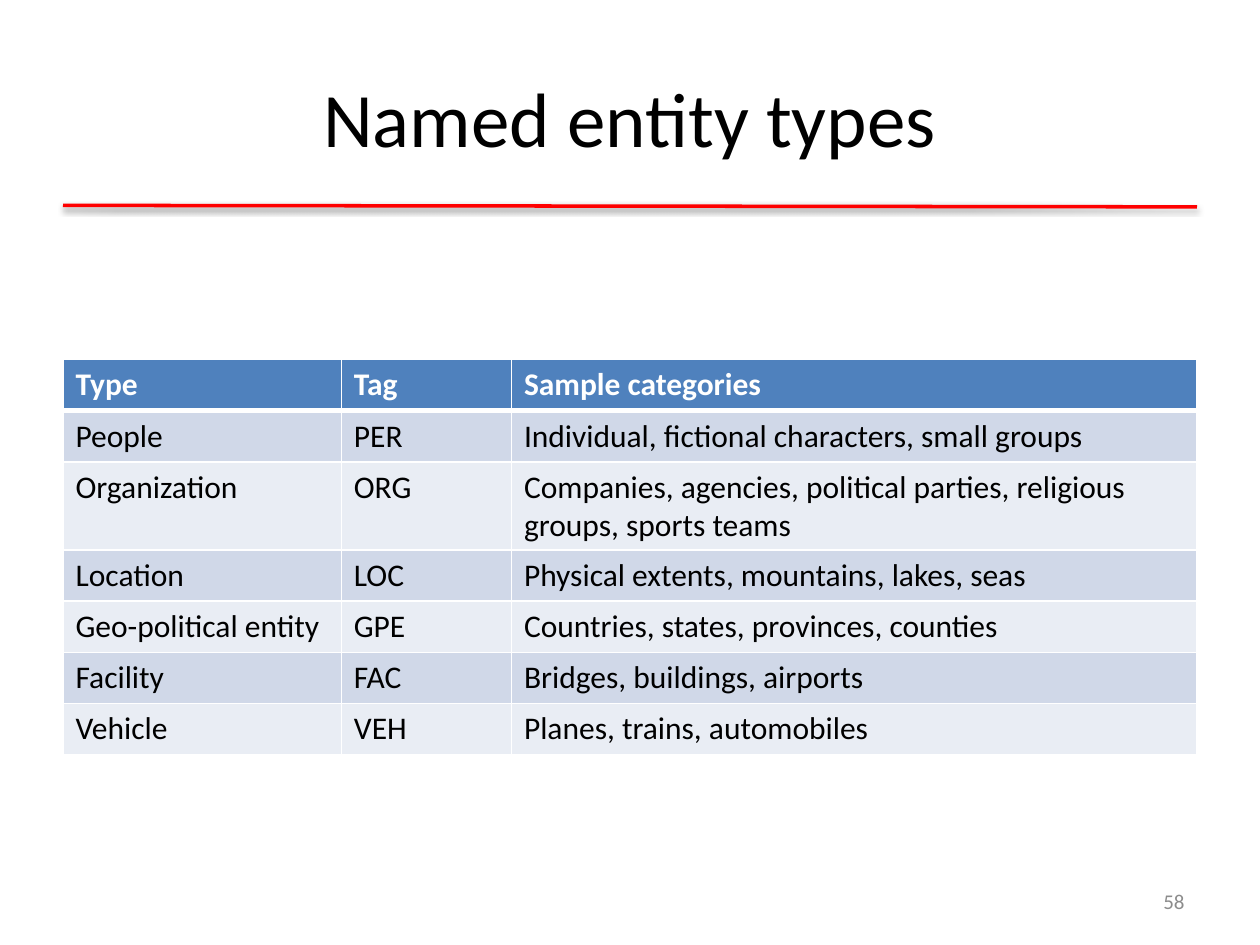
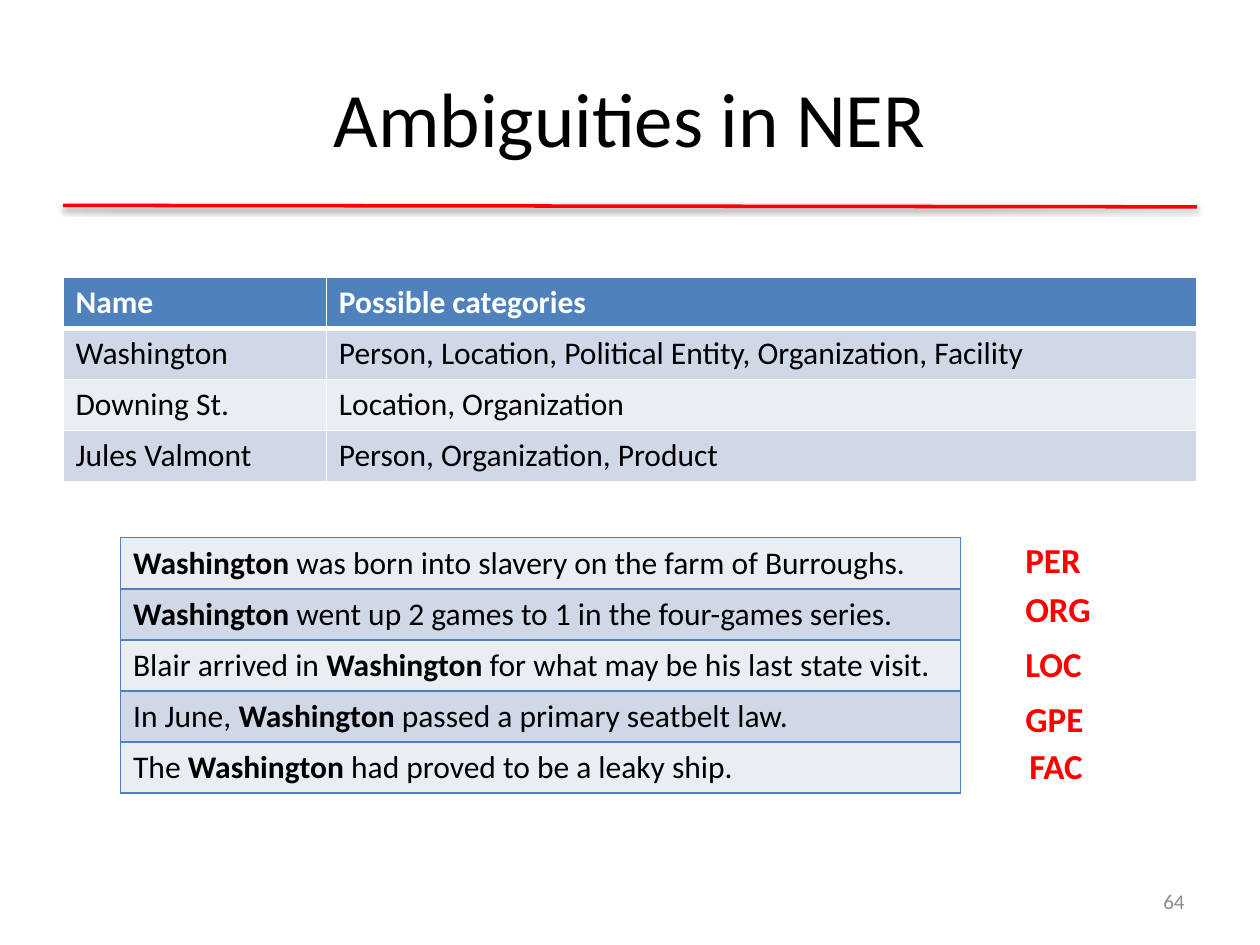
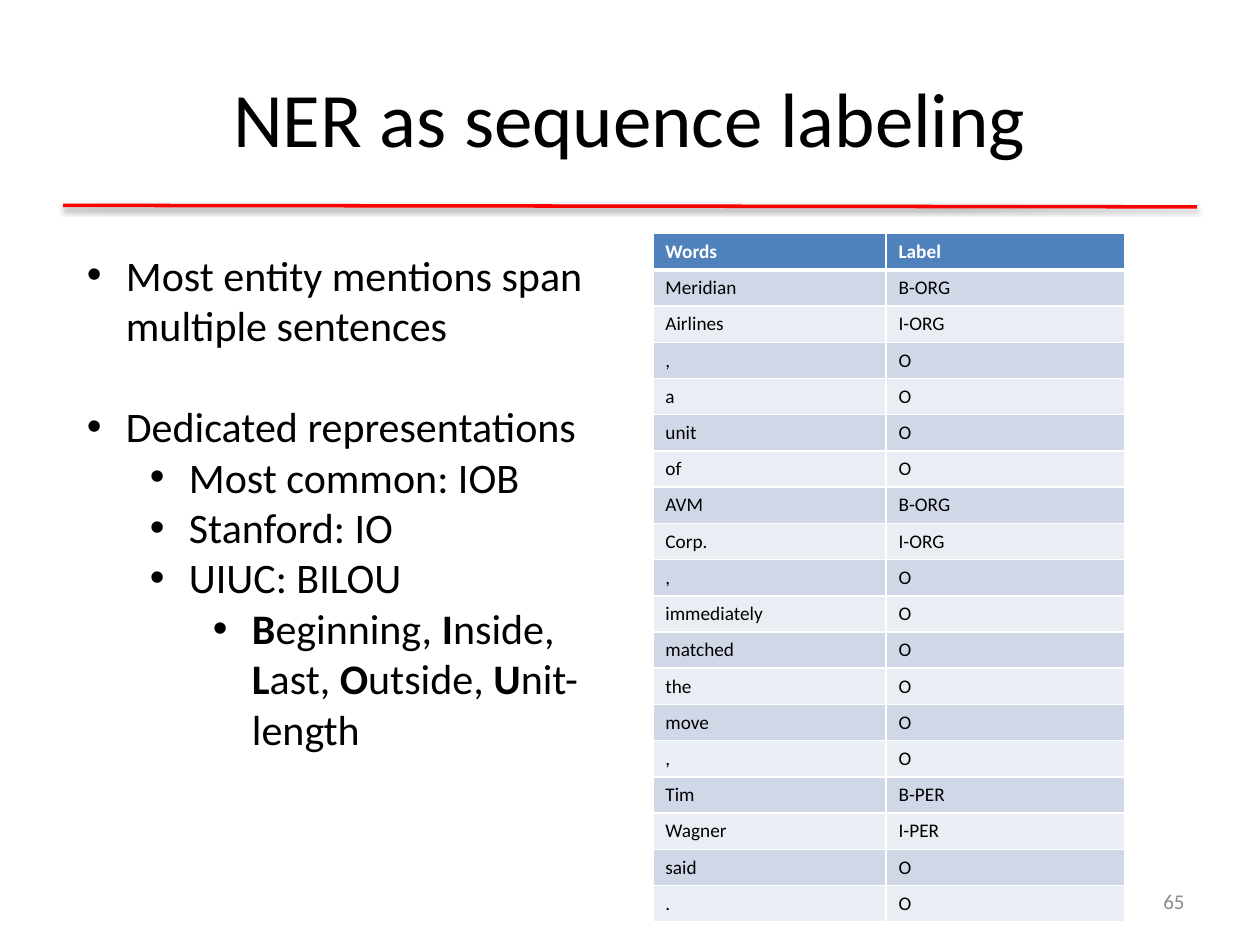
from lxml.etree import SubElement
from pptx import Presentation
from pptx.dml.color import RGBColor
from pptx.enum.shapes import MSO_CONNECTOR
from pptx.enum.text import MSO_ANCHOR as Anchor, PP_ALIGN as Align
from pptx.oxml import parse_xml
from pptx.oxml.ns import nsdecls, qn
from pptx.util import Cm, Pt

FONT = "Calibri"
BLACK, WHITE, RED, GREY = "000000", "FFFFFF", "FF0000", "8C8C8C"
BLUE, DARK_BAND, LIGHT_BAND = "4F81BD", "D0D8E8", "E9EDF4"
color = RGBColor.from_string

RULE_SHADOW = f"""<a:effectLst {nsdecls("a")}>
  <a:outerShdw blurRad="{Pt(3.1)}" dist="{Pt(1.6)}" dir="5400000" rotWithShape="0">
    <a:srgbClr val="{BLACK}"><a:alpha val="38000"/></a:srgbClr>
  </a:outerShdw>
</a:effectLst>"""


def write(frame, text, size, ink=BLACK, bold=False, align=Align.LEFT):
    """Fill a text frame, one paragraph per line; *stars* switch bold."""
    for number, line in enumerate(text.split("\n")):
        para = frame.add_paragraph() if number else frame.paragraphs[0]
        para.alignment = align
        for index, piece in enumerate(line.split("*")):
            if piece:
                span = para.add_run()
                span.text = piece
                style = {"name": FONT, "size": Pt(size), "bold": bold or index % 2 == 1}
                for name, value in style.items():
                    setattr(span.font, name, value)
                span.font.color.rgb = color(ink)


def add_grid(page, left, top, widths, row_height, rows, size, header=True, edge=WHITE):
    """Add a banded table with all its cell borders in one colour."""
    grid = page.shapes.add_table(len(rows), len(widths), Cm(left), Cm(top),
                                 Cm(sum(widths)), Cm(row_height * len(rows))).table
    grid.first_row, grid.horz_banding = header, False
    for column, width in zip(grid.columns, widths):
        column.width = Cm(width)
    for r, row in enumerate(rows):
        grid.rows[r].height = Cm(row_height)
        is_head = header and r == 0
        for c, text in enumerate(row):
            cell = grid.cell(r, c)
            write(cell.text_frame, text, size, WHITE if is_head else BLACK, is_head)
            for side in "LRTB":
                thick = header and (r, side) in [(0, "B"), (1, "T")]
                border = SubElement(cell._tc.get_or_add_tcPr(), qn(f"a:ln{side}"),
                                    w=str(Pt(3 if thick else 1)))
                SubElement(SubElement(border, qn("a:solidFill")), qn("a:srgbClr"), val=edge)
            cell.fill.solid()
            band = DARK_BAND if r % 2 else LIGHT_BAND
            cell.fill.fore_color.rgb = color(BLUE if is_head else band)


deck = Presentation()
deck.slide_width, deck.slide_height = Cm(25.4), Cm(19.05)

# Red rule, title and number on every slide
pages = []
for title, number in [("Named entity types", "58"), ("Ambiguities in NER", "64"),
                      ("NER as sequence labeling", "65")]:
    page = deck.slides.add_slide(deck.slide_layouts[6])
    pages.append(page)
    rule = page.shapes.add_connector(MSO_CONNECTOR.STRAIGHT, Cm(1.27), Cm(4.14), Cm(24.13), Cm(4.17))
    rule.line.color.rgb = color(RED)
    rule.line.width = Pt(2)
    rule._element.spPr.append(parse_xml(RULE_SHADOW))
    for text, at, size, ink, align in [
        (title, (1.27, 0.76, 22.86, 3.18), 44, BLACK, Align.CENTER),
        (number, (18.2, 17.65, 5.93, 1.02), 12, GREY, Align.RIGHT),
    ]:
        frame = page.shapes.add_textbox(*map(Cm, at)).text_frame
        frame.word_wrap, frame.vertical_anchor = True, Anchor.MIDDLE
        write(frame, text, size, ink, align=align)
types_page, ambiguity_page, labeling_page = pages

# Named entity types
add_grid(types_page, 1.27, 7.25, [5.61, 3.43, 13.82], 1.03, [
    ("Type", "Tag", "Sample categories"),
    ("People", "PER", "Individual, fictional characters, small groups"),
    ("Organization", "ORG", "Companies, agencies, political parties, religious groups, sports teams"),
    ("Location", "LOC", "Physical extents, mountains, lakes, seas"),
    ("Geo-political entity", "GPE", "Countries, states, provinces, counties"),
    ("Facility", "FAC", "Bridges, buildings, airports"),
    ("Vehicle", "VEH", "Planes, trains, automobiles"),
], 18)

# Ambiguities in NER
add_grid(ambiguity_page, 1.27, 5.59, [5.31, 17.55], 1.03, [
    ("Name", "Possible categories"),
    ("Washington", "Person, Location, Political Entity, Organization, Facility"),
    ("Downing St.", "Location, Organization"),
    ("Jules Valmont", "Person, Organization, Product"),
], 18)
add_grid(ambiguity_page, 2.43, 10.84, [16.93], 1.03, [
    ("*Washington* was born into slavery on the farm of Burroughs.",),
    ("*Washington* went up 2 games to 1 in the four-games series.",),
    ("Blair arrived in *Washington* for what may be his last state visit.",),
    ("In June, *Washington* passed a primary seatbelt law.",),
    ("The *Washington* had proved to be a leaky ship.",),
], 18, header=False, edge=BLUE)
for tag, left, top in [("PER", 20.42, 10.73), ("ORG", 20.42, 11.71), ("LOC", 20.42, 12.83),
                       ("GPE", 20.42, 13.94), ("FAC", 20.5, 14.88)]:
    frame = ambiguity_page.shapes.add_textbox(Cm(left), Cm(top), Cm(2), Cm(1.12)).text_frame
    frame.word_wrap = True
    write(frame, tag, 20, RED, bold=True)

# NER as sequence labeling
words = "Words Meridian Airlines , a unit of AVM Corp. , immediately matched the move , Tim Wagner said ."
labels = "Label B-ORG I-ORG O O O O B-ORG I-ORG O O O O O O B-PER I-PER O O"
add_grid(labeling_page, 13.16, 4.71, [4.7, 4.81], 0.73, list(zip(words.split(), labels.split())), 11)

frame = labeling_page.shapes.add_textbox(Cm(1.5), Cm(4.9), Cm(10.82), Cm(10.52)).text_frame
frame.word_wrap = True
write(frame, """Most entity mentions span multiple sentences
Dedicated representations
Most common: IOB
Stanford: IO
UIUC: BILOU
*B*eginning, *I*nside, *L*ast, *O*utside, *U*nit-length""", 24)
for para, level in zip(frame.paragraphs, [0, 0, 1, 1, 1, 2]):
    para.level = level
    props = para._p.get_or_add_pPr()
    props.set("marL", str(Cm(0.79 + 1.27 * level)))
    props.set("indent", str(-Cm(0.79)))
    SubElement(props, qn("a:buFont"), typeface="Arial")
    SubElement(props, qn("a:buChar"), char="•")
frame.paragraphs[1].space_before = Pt(29)

deck.save("out.pptx")
